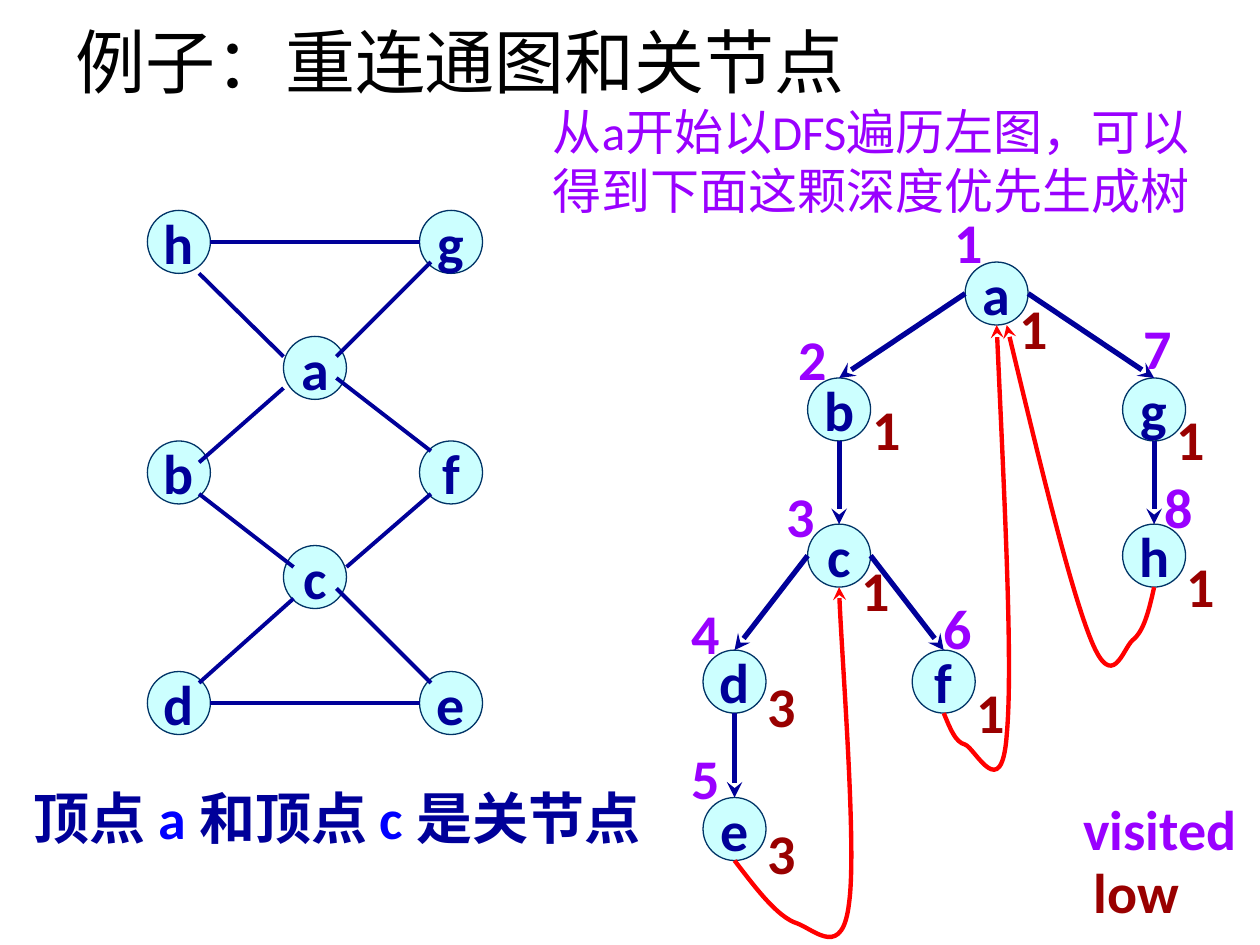
from typing import NamedTuple

from lxml import etree
from pptx import Presentation
from pptx.dml.color import RGBColor
from pptx.enum import shapes, text
from pptx.oxml import ns
from pptx.util import Inches, Pt

NAVY = RGBColor(0x00, 0x00, 0x99)
BLUE = RGBColor(0x00, 0x00, 0xFF)
PURPLE = RGBColor(0x99, 0x00, 0xFF)
MAROON = RGBColor(0x99, 0x00, 0x00)
RED = RGBColor(0xFF, 0x00, 0x00)
BLACK = RGBColor(0x00, 0x00, 0x00)
PALE_CYAN = RGBColor(0xCC, 0xFF, 0xFF)
OUTLINE = RGBColor(0x00, 0x33, 0x66)
FONT = "Calibri"
NODE = 0.5
LABEL_SIZE = (0.42, 0.63)

Point = tuple[float, float]


class TreeNode(NamedTuple):
    """A vertex with its visiting number and low value, each with its place."""
    name: str
    at: Point
    visited: str
    visited_at: Point
    low: str
    low_at: Point


class Edge(NamedTuple):
    start: Point
    end: Point


class Caption(NamedTuple):
    runs: list[tuple[str, RGBColor]]
    at: Point
    extent: Point
    size: int = 32
    bold: bool = True
    wrap: bool = False


LEFT, MIDDLE, RIGHT = 1.17, 2.25, 3.33
GRAPH_NODES = {
    "a": (MIDDLE, 2.67), "h": (LEFT, 1.67), "g": (RIGHT, 1.67),
    "c": (MIDDLE, 4.33), "b": (LEFT, 3.5), "f": (RIGHT, 3.5),
    "d": (LEFT, 5.33), "e": (RIGHT, 5.33),
}
GRAPH_EDGES = [
    Edge((1.67, 1.92), (3.33, 1.92)), Edge((1.67, 5.58), (3.33, 5.58)),
    Edge((1.58, 2.17), (2.25, 2.83)), Edge((3.42, 2.08), (2.67, 2.83)),
    Edge((2.25, 3.08), (1.58, 3.67)), Edge((1.58, 3.92), (2.33, 4.5)),
    Edge((2.67, 3), (3.42, 3.58)), Edge((3.42, 3.92), (2.75, 4.5)),
    Edge((2.33, 4.75), (1.58, 5.42)), Edge((2.67, 4.67), (3.42, 5.42)),
]
TREE_NODES = [
    TreeNode("a", (7.66, 2.08), "1", (7.48, 1.6), "1", (7.99, 2.28)),
    TreeNode("b", (6.41, 3), "2", (6.24, 2.53), "1", (6.83, 3.08)),
    TreeNode("c", (6.41, 4.16), "3", (6.14, 3.77), "1", (6.74, 4.36)),
    TreeNode("d", (5.58, 5.16), "4", (5.39, 4.7), "3", (5.99, 5.28)),
    TreeNode("e", (5.58, 6.33), "5", (5.39, 5.85), "3", (5.99, 6.45)),
    TreeNode("f", (7.24, 5.16), "6", (7.39, 4.66), "1", (7.65, 5.33)),
    TreeNode("g", (8.91, 3), "7", (8.98, 2.44), "1", (9.24, 3.16)),
    TreeNode("h", (8.91, 4.16), "8", (9.14, 3.7), "1", (9.32, 4.33)),
]
TREE_LINKS = ["ab", "bc", "cd", "cf", "de", "ag", "gh"]
# Each back edge: a start point, then three points for every Bézier segment.
BACK_EDGES = [
    [(7.49, 5.66), (7.54, 5.78), (7.58, 5.89), (7.66, 5.91), (7.74, 5.94),
     (7.95, 6.39), (7.99, 5.83), (8.04, 5.28), (7.97, 3.93), (7.91, 2.58)],
    [(9.16, 4.66), (9.12, 4.84), (9.08, 5.01), (8.99, 5.08), (8.91, 5.15),
     (8.83, 5.5), (8.66, 5.08), (8.49, 4.66), (8.24, 3.62), (7.99, 2.58)],
    [(5.83, 6.83), (6, 7.05), (6.17, 7.28), (6.33, 7.33), (6.48, 7.39),
     (6.69, 7.61), (6.74, 7.16), (6.8, 6.72), (6.67, 5.08), (6.66, 4.66)],
]
CAPTIONS = [
    Caption([("例子：重连通图和关节点", BLACK)], (0.5, -0.03), (9, 1.02), 40, False, True),
    Caption([("从a开始以DFS遍历左图，可以得到下面这颗深度优先生成树", PURPLE)],
            (4.29, 0.76), (5.51, 1.04), 28, False, True),
    Caption([("顶点 ", NAVY), ("a ", BLUE), ("和顶点 ", NAVY), ("c ", BLUE),
             ("是关节点", NAVY)], (0.17, 6.17), (5.1, 0.63), wrap=True),
    Caption([("visited", PURPLE)], (8.5, 6.26), (1.43, 0.64)),
    Caption([("low", MAROON)], (8.58, 6.76), (0.89, 0.64)),
]


def style_font(font, size: int, color: RGBColor, bold: bool) -> None:
    font.name, font.size, font.bold = FONT, Pt(size), bold
    font.color.rgb = color


def add_arrowhead(line) -> None:
    etree.SubElement(line._get_or_add_ln(), ns.qn("a:tailEnd"), type="stealth")


def add_node(group, name: str, at: Point) -> None:
    node = group.shapes.add_shape(
        shapes.MSO_SHAPE.OVAL, *map(Inches, at), Inches(NODE), Inches(NODE))
    node.shadow.inherit = False
    node.fill.solid()
    node.fill.fore_color.rgb = PALE_CYAN
    node.line.color.rgb = OUTLINE
    node.line.width = Pt(0.75)
    frame = node.text_frame
    frame.text = name
    frame.word_wrap = False
    frame.vertical_anchor = text.MSO_ANCHOR.MIDDLE
    frame.paragraphs[0].alignment = text.PP_ALIGN.CENTER
    style_font(frame.paragraphs[0].runs[0].font, 32, NAVY, True)


def add_edge(group, edge: Edge, width: float, arrow: bool = False) -> None:
    connector = group.shapes.add_connector(
        shapes.MSO_CONNECTOR.STRAIGHT, *map(Inches, edge.start + edge.end))
    connector.line.color.rgb = NAVY
    connector.line.width = Pt(width)
    if arrow:
        add_arrowhead(connector.line)
    etree.SubElement(connector._element.spPr, ns.qn("a:effectLst"))


def tree_edge(parent: Point, child: Point) -> Edge:
    """Leave the parent on the side facing the child; arrive at the child's top."""
    x, y = parent
    half = NODE / 2
    if child[0] == x:
        start = (x + half, y + NODE)
    else:
        start = (x if child[0] < x else x + NODE, y + half)
    return Edge(start, (child[0] + half, child[1]))


def add_back_edge(slide, points: list[Point]) -> None:
    """Build the control polygon, then turn each three segments into a curve."""
    start, *rest = [(Inches(x), Inches(y)) for x, y in points]
    builder = slide.shapes.build_freeform(*start)
    builder.add_line_segments(rest, close=False)
    curve = builder.convert_to_shape()
    segments = curve._element.xpath(".//a:lnTo")
    for first in range(0, len(segments), 3):
        bezier = etree.Element(ns.qn("a:cubicBezTo"))
        segments[first].addprevious(bezier)
        for segment in segments[first:first + 3]:
            bezier.append(segment[0])
            segment.getparent().remove(segment)
    curve.shadow.inherit = False
    curve.fill.background()
    curve.line.color.rgb = RED
    curve.line.width = Pt(2.5)
    add_arrowhead(curve.line)


def add_caption(slide, caption: Caption) -> None:
    box = slide.shapes.add_textbox(*map(Inches, caption.at + caption.extent))
    frame = box.text_frame
    frame.word_wrap = caption.wrap
    if caption.size == 40:
        frame.vertical_anchor = text.MSO_ANCHOR.MIDDLE
    else:
        frame.auto_size = text.MSO_AUTO_SIZE.SHAPE_TO_FIT_TEXT
    for words, color in caption.runs:
        run = frame.paragraphs[0].add_run()
        run.text = words
        style_font(run.font, caption.size, color, caption.bold)


def main() -> None:
    deck = Presentation()
    deck.slide_width, deck.slide_height = Inches(10), Inches(7.5)
    slide = deck.slides.add_slide(deck.slide_layouts[6])

    graph = slide.shapes.add_group_shape()
    for name, at in GRAPH_NODES.items():
        add_node(graph, name, at)
    for edge in GRAPH_EDGES:
        add_edge(graph, edge, 2.25)

    tree = slide.shapes.add_group_shape()
    places = {node.name: node.at for node in TREE_NODES}
    for name, at in places.items():
        add_node(tree, name, at)
    for parent, child in TREE_LINKS:
        add_edge(tree, tree_edge(places[parent], places[child]), 3, arrow=True)

    for points in BACK_EDGES:
        add_back_edge(slide, points)
    for node in TREE_NODES:
        add_caption(slide, Caption([(node.visited, PURPLE)], node.visited_at, LABEL_SIZE))
        add_caption(slide, Caption([(node.low, MAROON)], node.low_at, LABEL_SIZE))
    for caption in CAPTIONS:
        add_caption(slide, caption)
    deck.save("out.pptx")


if __name__ == "__main__":
    main()
